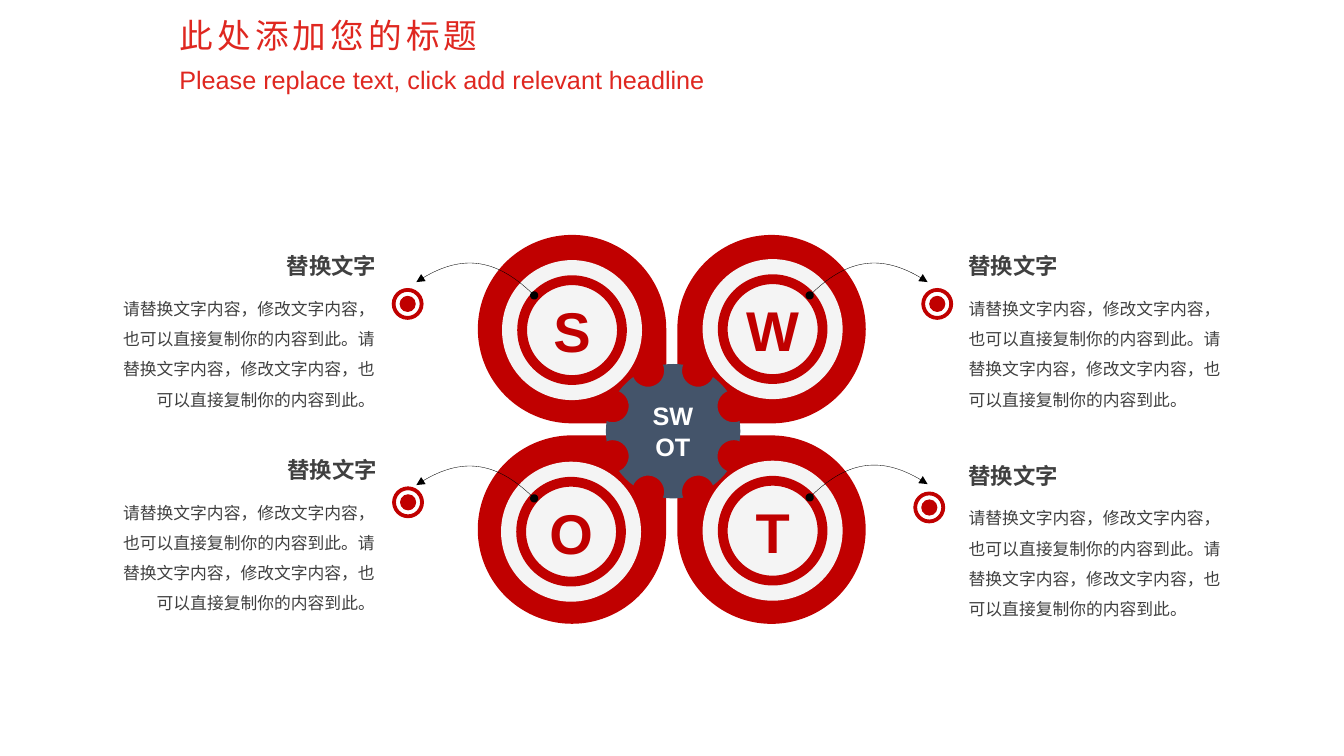
import math

from lxml import etree
from pptx import Presentation
from pptx import util as u
from pptx.dml.color import RGBColor
from pptx.enum import shapes, text
from pptx.oxml import ns

WIDTH, HEIGHT = 960, 540
COLORS = {
    "red": "C00000",
    "title": "DF2720",
    "disc": "F4F4F4",
    "gear": "44546A",
    "body": "404040",
    "white": "FFFFFF",
    "black": "000000",
}
HEADING = "替换文字"
BODY = "请替换文字内容，修改文字内容，也可以直接复制你的内容到此。" * 2
LEFT, CENTER, RIGHT = text.PP_ALIGN.LEFT, text.PP_ALIGN.CENTER, text.PP_ALIGN.RIGHT
TOP, MIDDLE = text.MSO_ANCHOR.TOP, text.MSO_ANCHOR.MIDDLE
FIT, FIXED = text.MSO_AUTO_SIZE.SHAPE_TO_FIT_TEXT, text.MSO_AUTO_SIZE.NONE
SHAPE = shapes.MSO_SHAPE
ARROW = [(297.4, 201.5), (326.9, 181.5), (355, 184.4), (381.6, 211)]
QUADRANTS = [
    dict(letter="S", petal=(341.3, 167.8), rotation=90, center=(408.6, 235.8),
         mirrored=False, drop=0, heading=(117.4, 179.3), target=(291.2, 217.1)),
    dict(letter="W", petal=(483.8, 167.8), rotation=180, center=(551.9, 235.1),
         mirrored=True, drop=0, heading=(684.7, 179.3), target=(669.5, 217.1)),
    dict(letter="O", petal=(341.3, 311), rotation=0, center=(407.9, 379.8),
         mirrored=False, drop=145, heading=(118, 324.9), target=(291.5, 358.8)),
    dict(letter="T", petal=(483.8, 311), rotation=270, center=(551.9, 379.1),
         mirrored=True, drop=144.3, heading=(684.7, 329), target=(663.8, 362.5)),
]


def color(name):
    return RGBColor.from_string(COLORS[name])


def write(shape, content, size=12, ink="body", bold=False, align=LEFT, anchor=TOP,
          insets=(7.2, 3.6), spacing=None, tracking=None, wrap=True, fit=FIXED):
    frame = shape.text_frame
    frame.text = content
    frame.word_wrap = wrap
    frame.auto_size = fit
    frame.vertical_anchor = anchor
    frame.margin_left = frame.margin_right = u.Pt(insets[0])
    frame.margin_top = frame.margin_bottom = u.Pt(insets[1])
    for paragraph in frame.paragraphs:
        paragraph.alignment = align
        if spacing:
            paragraph.line_spacing = spacing
        for run in paragraph.runs:
            run.font.name = "Arial"
            run.font.size = u.Pt(size)
            run.font.bold = bold
            run.font.color.rgb = color(ink)
            if tracking:
                run.font._element.set("spc", str(tracking * 100))


class Canvas:
    def __init__(self, slide):
        self.slide = slide

    def style(self, shape, fill=None, line=None, weight=0.75):
        shape.shadow.inherit = False
        if fill:
            shape.fill.solid()
            shape.fill.fore_color.rgb = color(fill)
        else:
            shape.fill.background()
        if line:
            shape.line.color.rgb = color(line)
            shape.line.width = u.Pt(weight)
        else:
            shape.line.fill.background()
        return shape

    def preset(self, kind, left, top, size, **style):
        shape = self.slide.shapes.add_shape(
            kind, u.Pt(left), u.Pt(top), u.Pt(size), u.Pt(size))
        return self.style(shape, **style)

    def centered(self, kind, center, size, **style):
        x, y = center
        return self.preset(kind, x - size / 2, y - size / 2, size, **style)

    def label(self, content, left, top, width, height, **format):
        box = self.slide.shapes.add_textbox(
            u.Pt(left), u.Pt(top), u.Pt(width), u.Pt(height))
        write(box, content, **format)

    def title(self, content, left, top, width, height, **format):
        shape = self.slide.shapes.title
        shape.left, shape.top = u.Pt(left), u.Pt(top)
        shape.width, shape.height = u.Pt(width), u.Pt(height)
        write(shape, content, **format)

    def outline(self, points, closed, **style):
        points = [(u.Pt(x), u.Pt(y)) for x, y in points]
        builder = self.slide.shapes.build_freeform(*points[0])
        builder.add_line_segments(points[1:], close=closed)
        return self.style(builder.convert_to_shape(), **style)

    def arrow(self, points):
        shape = self.outline(points, False, line="black", weight=0.25)
        path = shape.element.find(".//" + ns.qn("a:path"))
        curve = etree.SubElement(path, ns.qn("a:cubicBezTo"))
        for segment in path.findall(ns.qn("a:lnTo")):
            curve.append(segment[0])
            path.remove(segment)
        line = shape.element.spPr.find(ns.qn("a:ln"))
        for end, kind in (("a:headEnd", "triangle"), ("a:tailEnd", "oval")):
            etree.SubElement(line, ns.qn(end)).set("type", kind)

    def gear(self, x, y, radius=48, notch=11.5, distance=46.8):
        points = []
        for tooth in range(8):
            angle = 22.5 + 45 * tooth
            axis = math.radians(angle)
            notch_x = x + distance * math.cos(axis)
            notch_y = y + distance * math.sin(axis)
            for turn in range(270, 89, -10):
                around = math.radians(angle + turn)
                points.append((notch_x + notch * math.cos(around),
                               notch_y + notch * math.sin(around)))
            for turn in (14, 18, 22.5, 27, 31):
                around = math.radians(angle + turn)
                points.append((x + radius * math.cos(around),
                               y + radius * math.sin(around)))
        self.outline(points, True, fill="gear")

    def target(self, center):
        self.centered(SHAPE.OVAL, center, 10.8, fill="red", line="red")
        ring = self.centered(SHAPE.DONUT, center, 22, fill="red", line="red")
        ring.adjustments[0] = 0.09


def main():
    presentation = Presentation()
    presentation.slide_width, presentation.slide_height = u.Pt(WIDTH), u.Pt(HEIGHT)
    slide = presentation.slides.add_slide(presentation.slide_layouts[5])
    canvas = Canvas(slide)

    canvas.title("此处添加您的标题", 121, 2.9, 607.7, 38.9, size=24, ink="title",
                 anchor=MIDDLE, spacing=1.2, tracking=3, fit=FIT)
    canvas.label("Please replace text, click add relevant headline",
                 121, 42.5, 393, 29, size=18, ink="title", wrap=False, fit=FIT)

    for quadrant in QUADRANTS:
        petal = canvas.preset(SHAPE.TEAR, *quadrant["petal"], 134.6, fill="red")
        petal.rotation = quadrant["rotation"]
    for quadrant in QUADRANTS:
        canvas.centered(SHAPE.OVAL, quadrant["center"], 100, fill="disc")
        badge = canvas.centered(SHAPE.OVAL, quadrant["center"], 71.3,
                                fill="disc", line="red", weight=7)
        write(badge, quadrant["letter"], size=40, ink="red", bold=True,
              align=CENTER, anchor=MIDDLE, insets=(0, 0))

    canvas.gear(480.8, 308)
    canvas.label("SW\nOT", 447.1, 297.4, 67, 20.9, size=18, ink="white", bold=True,
                 align=CENTER, anchor=MIDDLE)

    for quadrant in QUADRANTS:
        mirrored = quadrant["mirrored"]
        canvas.arrow([(WIDTH - x if mirrored else x, y + quadrant["drop"])
                      for x, y in ARROW])
        align = LEFT if mirrored else RIGHT
        left, top = quadrant["heading"]
        canvas.label(HEADING, left, top, 158.4, 20.9, size=16, bold=True,
                     align=align, anchor=MIDDLE)
        body_left, body_width = (691.9, 185.8) if mirrored else (85, 182.9)
        canvas.label(BODY, body_left, top + 26.8, body_width, 87.1, align=align,
                     insets=(0, 0), spacing=1.5, fit=FIT)
        canvas.target(quadrant["target"])

    presentation.save("out.pptx")


if __name__ == "__main__":
    main()
